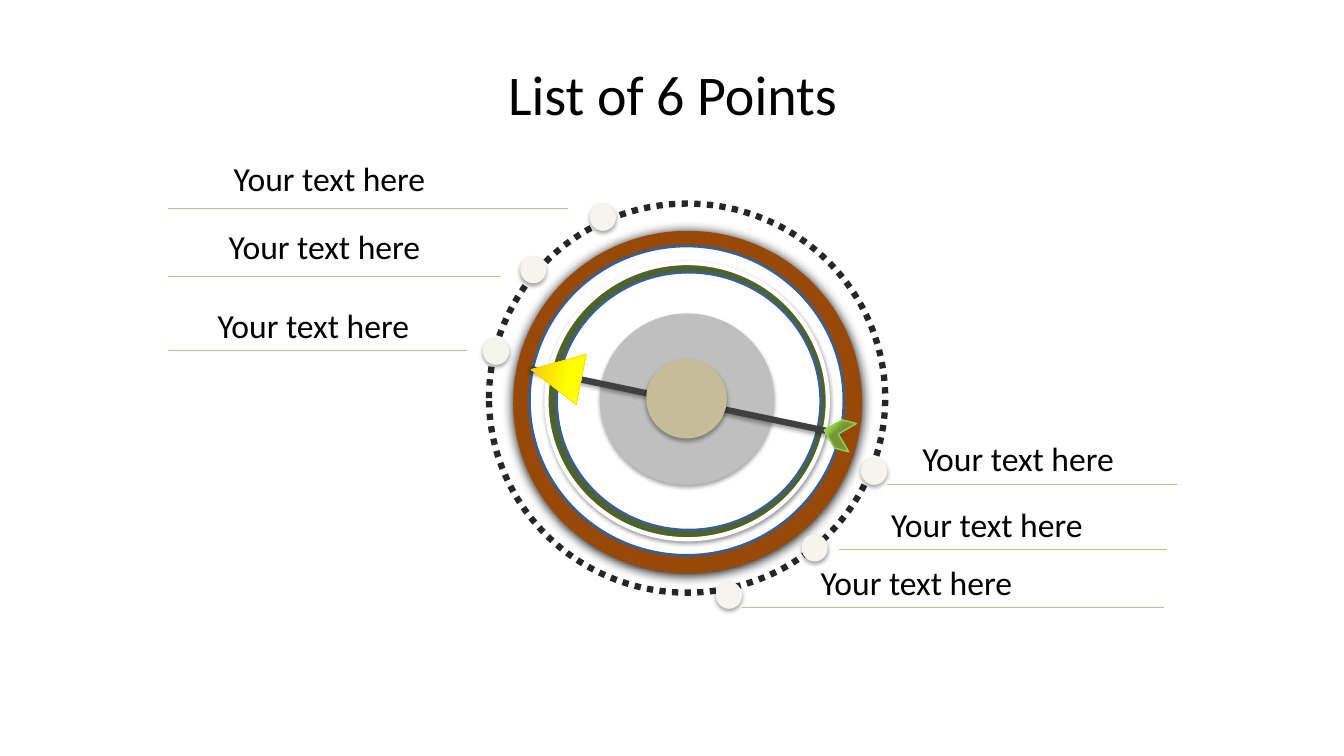
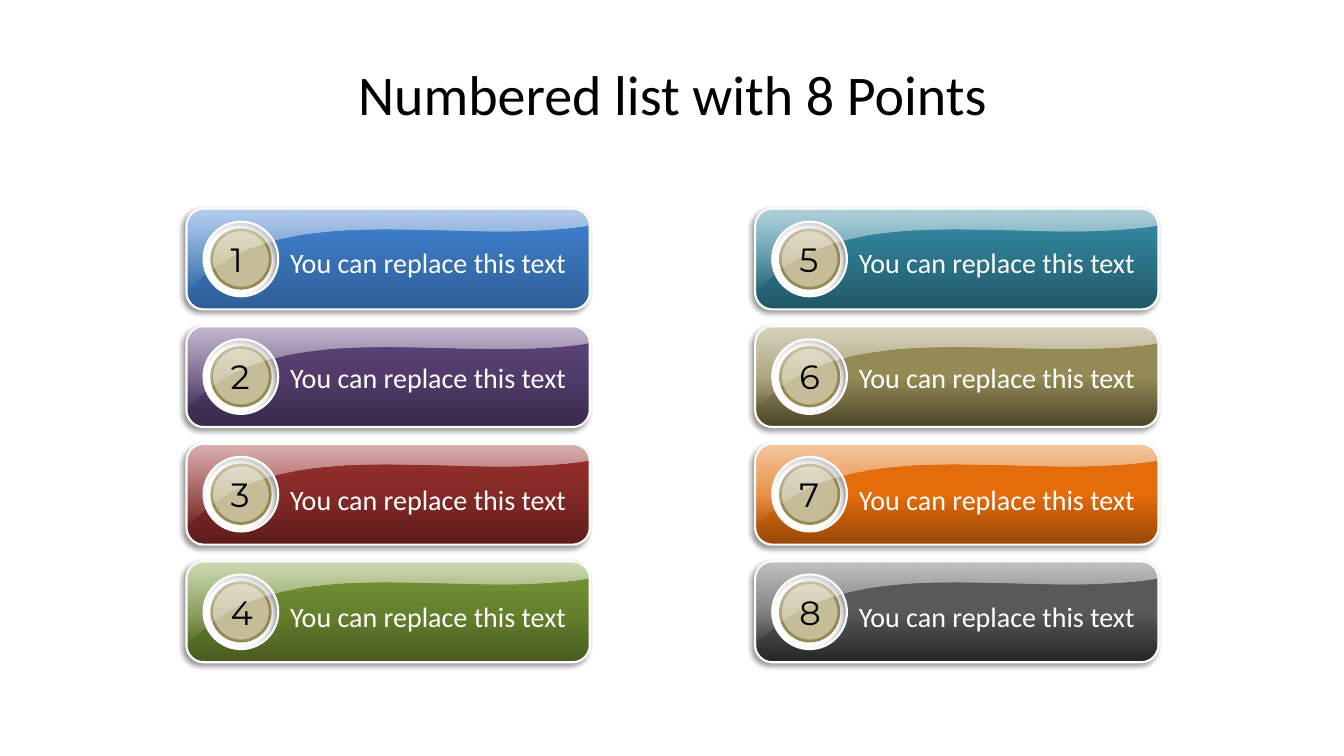
from lxml.etree import SubElement
from pptx import Presentation
from pptx.dml.color import RGBColor
from pptx.enum.dml import MSO_LINE
from pptx.enum.shapes import MSO_CONNECTOR, MSO_SHAPE
from pptx.enum.text import MSO_ANCHOR, MSO_AUTO_SIZE, PP_ALIGN
from pptx.oxml import parse_xml
from pptx.oxml.ns import nsdecls, qn
from pptx.util import Inches, Pt

BLACK = RGBColor(0x00, 0x00, 0x00)
WHITE = RGBColor(0xFF, 0xFF, 0xFF)
CHARCOAL = RGBColor(0x26, 0x26, 0x26)
DARK_GREY = RGBColor(0x40, 0x40, 0x40)
MID_GREY = RGBColor(0x59, 0x59, 0x59)
LIGHT_GREY = RGBColor(0xBF, 0xBF, 0xBF)
TAN = RGBColor(0xC4, 0xBD, 0x97)
DARK_TAN = RGBColor(0x94, 0x8A, 0x54)
DEEP_TAN = RGBColor(0x4A, 0x45, 0x2A)
IVORY = RGBColor(0xF5, 0xF4, 0xED)
BROWN = RGBColor(0x98, 0x48, 0x07)
ORANGE = RGBColor(0xE4, 0x6C, 0x0A)
RING_BLUE = RGBColor(0x3A, 0x5F, 0x8C)
RING_GREEN = RGBColor(0x4F, 0x62, 0x28)
FEATHER_EDGE = RGBColor(0x92, 0xD0, 0x50)
TIP_EDGE = RGBColor(0xFF, 0xCC, 0x00)
AMBER = RGBColor(0xFF, 0xC0, 0x00)
YELLOW = RGBColor(0xFF, 0xFF, 0x00)
LEAF = RGBColor(0x77, 0x97, 0x37)
LIME = RGBColor(0xC0, 0xFF, 0x4D)
MOSS = RGBColor(0x9D, 0xC7, 0x46)
TEAL = RGBColor(0x31, 0x85, 0x9C)
DARK_TEAL = RGBColor(0x21, 0x59, 0x68)

TEXT_FONT = "Calibri"
NUMBER_FONT = "Montserrat"

# Shadows: opacity in percent, blur and distance in points, direction in degrees
SOFT_SHADOW = (35, 3.1, 1.8, 90)
RING_SHADOW = (38, 3.1, 1.6, 90)
RIM_SHADOW = (100, 8.5, 1, 90)
PANEL_SHADOW = (40, 4, 3, 135)

# Gradient stops: position, colour, opacity in percent
FEATHER_STOPS = [(55, LEAF, 100), (83, LIME, 100), (100, MOSS, 100)]
TIP_STOPS = [(0, AMBER, 100), (70, YELLOW, 100), (100, YELLOW, 100)]
GLOSS_STOPS = [(0, WHITE, 0), (50, WHITE, 31), (100, WHITE, 63)]

# Box, fill, line (colour, width), shadow
TARGET_RINGS = [
    ((5.09, 2.29, 3.46, 3.4), BROWN, None, RIM_SHADOW),
    ((5.25, 2.44, 3.12, 3.07), WHITE, (RING_BLUE, 2), None),
    ((5.42, 2.61, 2.79, 2.74), RING_GREEN, (WHITE, 3), RING_SHADOW),
    ((5.52, 2.7, 2.62, 2.56), WHITE, (RING_BLUE, 2), None),
    ((5.95, 3.11, 1.73, 1.7), LIGHT_GREY, None, SOFT_SHADOW),
]

# Dot corner, rule (start, end, height), text corner
POINTS = [
    ((5.85, 2.02), (1.67, 5.63, 2.07), (2.22, 1.52)),
    ((5.16, 2.54), (1.67, 4.97, 2.74), (2.17, 2.19)),
    ((4.79, 3.35), (1.67, 4.63, 3.48), (2.06, 2.98)),
    ((8.54, 4.54), (8.8, 11.67, 4.81), (9.05, 4.3)),
    ((7.95, 5.3), (8.32, 11.57, 5.45), (8.74, 4.95)),
    ((7.1, 5.77), (7.36, 11.54, 6.03), (8.04, 5.53)),
]

# Bottom colour, middle position, middle colour, top colour
PANEL_COLOURS = [
    (RGBColor(0x2F, 0x5F, 0x99), 80, RGBColor(0x3D, 0x7C, 0xC7), RGBColor(0x3A, 0x7C, 0xCB)),
    (RGBColor(0x39, 0x29, 0x4B), 50, RGBColor(0x51, 0x3B, 0x6B), RGBColor(0x60, 0x46, 0x7E)),
    (RGBColor(0x5D, 0x1D, 0x1B), 50, RGBColor(0x84, 0x29, 0x26), RGBColor(0x9C, 0x30, 0x2E)),
    (RGBColor(0x48, 0x5B, 0x20), 50, RGBColor(0x66, 0x81, 0x2D), RGBColor(0x79, 0x99, 0x36)),
    (DARK_TEAL, 80, TEAL, TEAL),
    (DEEP_TAN, 50, DARK_TAN, DARK_TAN),
    (BROWN, 50, ORANGE, ORANGE),
    (CHARCOAL, 51, MID_GREY, MID_GREY),
]
PANEL_ROWS = 4
PANEL_WIDTH, PANEL_HEIGHT = 4, 1
PANEL_CORNER = 0.17
PANEL_LEFT, PANEL_TOP = 1.85, 2.07
COLUMN_STEP, ROW_STEP = 5.64, 3.5 / 3
LABEL_OFFSETS = [0.32, 0.29, 0.33, 0.33]


def add_shadow(shape, shadow):
    """Drop the theme effect and, if given, put an outer shadow in its place."""
    properties = shape.element.spPr
    effects = properties.find(qn("a:effectLst"))
    if effects is None:
        effects = SubElement(properties, qn("a:effectLst"))
    if shadow:
        opacity, blur, distance, direction = shadow
        outer = SubElement(effects, qn("a:outerShdw"), blurRad=str(Pt(blur)),
                           dist=str(Pt(distance)), dir=str(direction * 60000),
                           algn="ctr", rotWithShape="0")
        colour = SubElement(outer, qn("a:srgbClr"), val=str(BLACK))
        SubElement(colour, qn("a:alpha"), val=str(opacity * 1000))


def set_gradient(shape, stops, angle=None):
    """Fill with a linear gradient, or a circular one when no angle is given."""
    shape.fill.background()
    gradient = parse_xml(f'<a:gradFill {nsdecls("a")} rotWithShape="1"/>')
    stop_list = SubElement(gradient, qn("a:gsLst"))
    for position, colour, opacity in stops:
        stop = SubElement(stop_list, qn("a:gs"), pos=str(position * 1000))
        stop_colour = SubElement(stop, qn("a:srgbClr"), val=str(colour))
        if opacity < 100:
            SubElement(stop_colour, qn("a:alpha"), val=str(opacity * 1000))
    if angle is None:
        circle = SubElement(gradient, qn("a:path"), path="circle")
        SubElement(circle, qn("a:fillToRect"), l="100000", t="100000")
    else:
        SubElement(gradient, qn("a:lin"), ang=str(angle * 60000), scaled="0")
    properties = shape.element.spPr
    properties.replace(properties.find(qn("a:noFill")), gradient)


def style_shape(shape, fill=None, line=None, shadow=None):
    shape.shadow.inherit = False
    if fill is None:
        shape.fill.background()
    else:
        shape.fill.solid()
        shape.fill.fore_color.rgb = fill
    if line is None:
        shape.line.fill.background()
    else:
        colour, width = line
        shape.line.color.rgb = colour
        shape.line.width = Pt(width)
    add_shadow(shape, shadow)


def add_preset(shapes, kind, box, fill=None, line=None, shadow=None):
    shape = shapes.add_shape(kind, *map(Inches, box))
    style_shape(shape, fill, line, shadow)
    return shape


def add_line(shapes, start, end, colour, width, shadow=None):
    connector = shapes.add_connector(
        MSO_CONNECTOR.STRAIGHT, *map(Inches, (*start, *end)))
    connector.line.color.rgb = colour
    connector.line.width = Pt(width)
    add_shadow(connector, shadow)


def format_text(paragraph, size, colour, font=TEXT_FONT):
    for run in paragraph.runs:
        run.font.name = font
        run.font.size = Pt(size)
        run.font.color.rgb = colour


def add_text(shapes, text, box, size, colour, font=TEXT_FONT, wrap=False):
    frame = shapes.add_textbox(*map(Inches, box)).text_frame
    frame.word_wrap = wrap
    frame.auto_size = MSO_AUTO_SIZE.SHAPE_TO_FIT_TEXT
    frame.text = text
    format_text(frame.paragraphs[0], size, colour, font)


def quarter(start, corner, end):
    """Return the curve points of a quarter circle that bends around corner."""
    first, second = (
        tuple(a + 0.55 * (b - a) for a, b in zip(point, corner)) for point in (start, end))
    return first, second, end


def add_outline(shapes, left, top, contours):
    """Draw closed contours as one shape.

    A contour is a list of segments in inches from left and top: its start,
    then one point for each straight line and three for each curve.
    """
    builder = None
    for contour in contours:
        start, *points = [(Inches(left + x), Inches(top + y))
                          for segment in contour for x, y in segment]
        if builder is None:
            builder = shapes.build_freeform(*start, scale=1.0)
        else:
            builder.move_to(*start)
        builder.add_line_segments(points, close=True)
    shape = builder.convert_to_shape()

    lines = iter(list(shape.element.iter(qn("a:lnTo"))))
    for segment in (segment for contour in contours for segment in contour[1:]):
        steps = [next(lines) for _ in segment]
        if len(steps) == 3:
            curve = parse_xml(f'<a:cubicBezTo {nsdecls("a")}/>')
            steps[0].addprevious(curve)
            for step in steps:
                curve.append(step[0])
                step.getparent().remove(step)
    return shape


def panel_contours():
    """Return the contours of the badge opening, the panel and its gloss."""
    width, height, corner = PANEL_WIDTH, PANEL_HEIGHT, PANEL_CORNER
    right, bottom = width - corner, height - corner
    upper_edge = [
        ((0, corner),),
        quarter((0, corner), (0, 0), (corner, 0)),
        ((right, 0),),
        quarter((right, 0), (width, 0), (width, corner)),
    ]
    lower_edge = [
        ((width, bottom),),
        quarter((width, bottom), (width, height), (right, height)),
        ((corner, height),),
        quarter((corner, height), (0, height), (0, bottom)),
    ]
    wave = [
        ((3.33, 0.28), (2.56, 0.2), (1.84, 0.21)),
        ((1.11, 0.22), (0.45, 0.33), (0, bottom)),
    ]
    x, y, radius = 0.54, 0.5, 0.37
    north, west = (x, y - radius), (x - radius, y)
    south, east = (x, y + radius), (x + radius, y)
    opening = [
        (north,),
        quarter(north, (x - radius, y - radius), west),
        quarter(west, (x - radius, y + radius), south),
        quarter(south, (x + radius, y + radius), east),
        quarter(east, (x + radius, y - radius), north),
    ]
    return opening, upper_edge + lower_edge, upper_edge + wave


def add_panel(shapes, number, left, top, label_offset, colours):
    """Add a glossy panel with a numbered badge in its round opening."""
    group = shapes.add_group_shape().shapes
    opening, outline, gloss_outline = panel_contours()
    panel = add_outline(group, left, top, [opening, outline])
    style_shape(panel, line=(WHITE, 1.5), shadow=PANEL_SHADOW)
    low, position, middle, high = colours
    set_gradient(panel, [(0, low, 100), (position, middle, 100), (100, high, 100)], 270)

    add_preset(group, MSO_SHAPE.OVAL, (left + 0.25, top + 0.21, 0.58, 0.58),
               TAN, (DARK_TAN, 2))
    gloss = add_outline(group, left, top, [gloss_outline])
    style_shape(gloss)
    set_gradient(gloss, GLOSS_STOPS, 270)

    add_text(group, str(number), (left + 0.34, top + 0.25, 0.43, 0.5),
             24, BLACK, NUMBER_FONT)
    add_text(group, "You can replace this text",
             (left + 0.93, top + label_offset, 2.97, 0.44), 20, WHITE)


def add_titled_slide(presentation, title_text):
    slide = presentation.slides.add_slide(presentation.slide_layouts[5])
    title = slide.shapes.title
    title.left, title.top, title.width, title.height = map(Inches, (0.67, 0.3, 12, 1.25))
    frame = title.text_frame
    frame.text = title_text
    frame.vertical_anchor = MSO_ANCHOR.MIDDLE
    frame.paragraphs[0].alignment = PP_ALIGN.CENTER
    format_text(frame.paragraphs[0], 40, BLACK)
    return slide


def add_arrow(shapes):
    group = shapes.add_group_shape().shapes
    add_line(group, (8.32, 4.3), (5.26, 3.66), DARK_GREY, 4.5, SOFT_SHADOW)
    feather = add_preset(group, MSO_SHAPE.CHEVRON, (8.17, 4.16, 0.29, 0.29),
                         line=(FEATHER_EDGE, 1))
    feather.rotation = 195
    set_gradient(feather, FEATHER_STOPS)
    tip = add_preset(group, MSO_SHAPE.FLOWCHART_EXTRACT, (5.26, 3.46, 0.51, 0.51),
                     line=(TIP_EDGE, 0.25))
    tip.rotation = 281.2
    set_gradient(tip, TIP_STOPS, 90)


def add_target_slide(presentation):
    shapes = add_titled_slide(presentation, "List of 6 Points").shapes
    orbit = add_preset(shapes, MSO_SHAPE.OVAL, (4.85, 2.02, 3.93, 3.86),
                       line=(CHARCOAL, 4.5))
    orbit.line.dash_style = MSO_LINE.ROUND_DOT
    for box, fill, line, shadow in TARGET_RINGS:
        add_preset(shapes, MSO_SHAPE.OVAL, box, fill, line, shadow)
    add_arrow(shapes)
    for dot, (start, end, height), corner in POINTS:
        add_preset(shapes, MSO_SHAPE.OVAL, (*dot, 0.26, 0.27), IVORY, shadow=SOFT_SHADOW)
        add_line(shapes, (start, height), (end, height), TAN, 0.75)
        add_text(shapes, "Your text here", (*corner, 2.6, 0.5), 24, BLACK, wrap=True)
    add_preset(shapes, MSO_SHAPE.OVAL, (6.41, 3.56, 0.8, 0.79), TAN, shadow=SOFT_SHADOW)


def add_panel_slide(presentation):
    shapes = add_titled_slide(presentation, "Numbered list with 8 Points").shapes
    for index, colours in enumerate(PANEL_COLOURS):
        column, row = divmod(index, PANEL_ROWS)
        add_panel(shapes, index + 1, PANEL_LEFT + column * COLUMN_STEP,
                  PANEL_TOP + row * ROW_STEP, LABEL_OFFSETS[row], colours)


def main():
    presentation = Presentation()
    presentation.slide_width = Inches(13.33)
    presentation.slide_height = Inches(7.5)
    add_target_slide(presentation)
    add_panel_slide(presentation)
    presentation.save("out.pptx")


if __name__ == "__main__":
    main()
